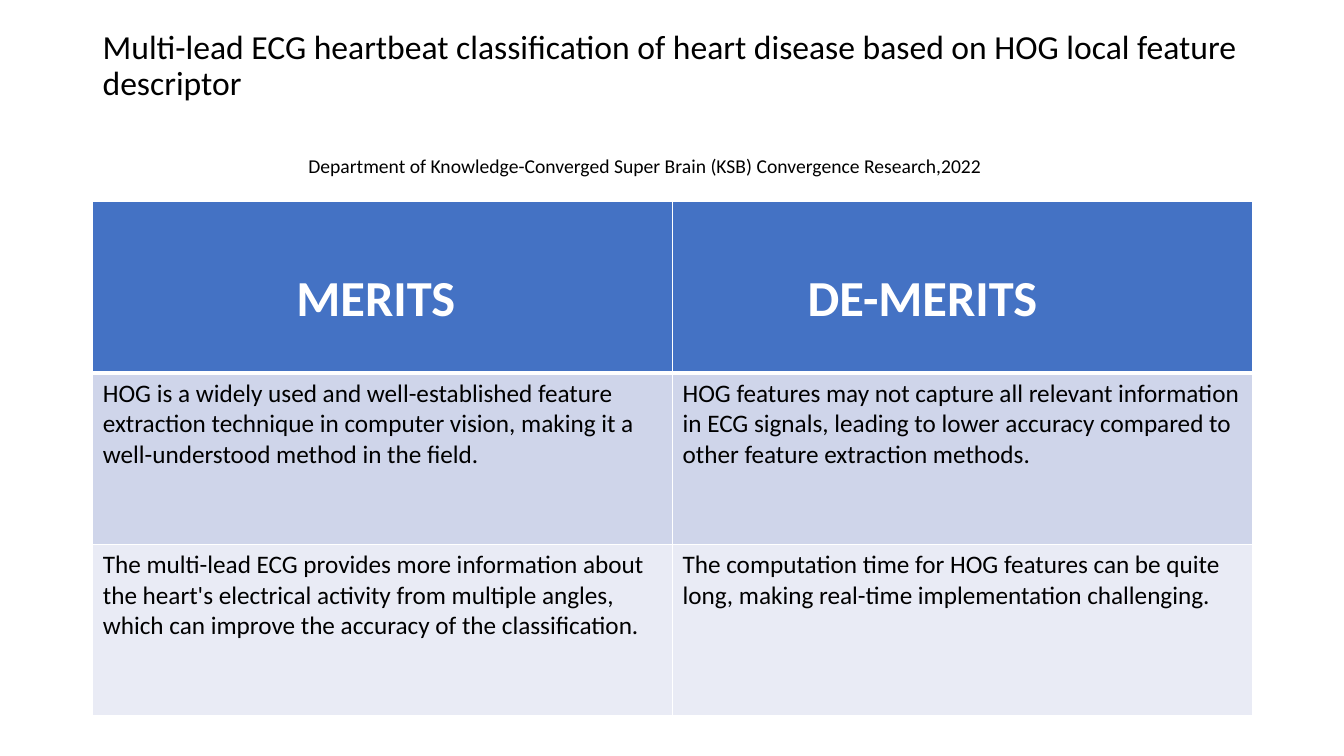
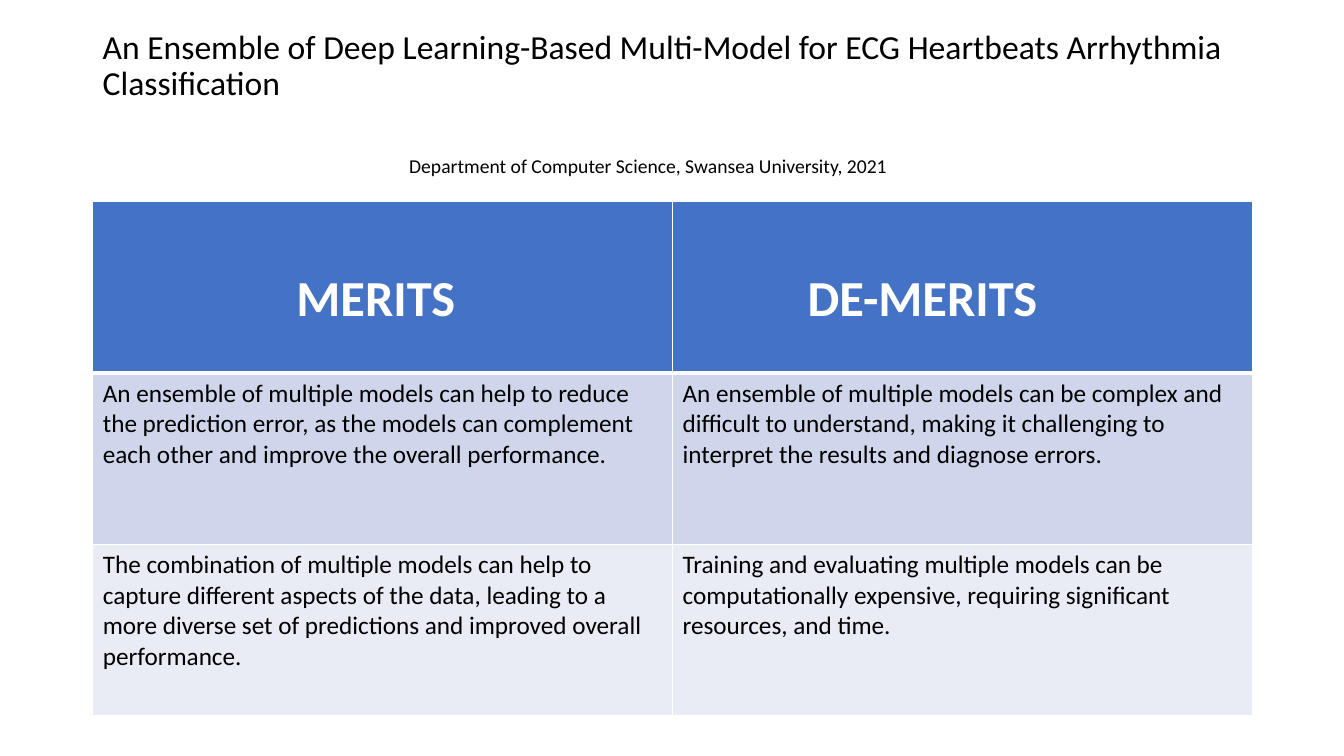
import dataclasses

import pptx
import pptx.dml.color
import pptx.oxml
import pptx.oxml.ns
import pptx.util

Inches = pptx.util.Inches
Pt = pptx.util.Pt


@dataclasses.dataclass(frozen=True)
class Theme:
    font: str = "Calibri"
    text: str = "000000"
    header_text: str = "FFFFFF"
    header_fill: str = "4472C4"
    row_fills: tuple = ("CFD5EA", "E9EBF5")
    border: str = "FFFFFF"
    title_size: int = 24
    source_size: int = 14
    header_size: int = 36
    body_size: int = 18
    thin: int = 1
    thick: int = 3
    left: float = 0.92
    width: float = 11.5


THEME = Theme()

# Header label and its left margin in inches
HEADERS = (("MERITS", 2.02), ("DE-MERITS", 1.34))

# Title, source line, left edge of the source line, body rows
PAPERS = (
    (
        "Multi-lead ECG heartbeat classification of heart disease based on HOG local feature descriptor",
        "Department of Knowledge-Converged Super Brain (KSB) Convergence Research,2022",
        2.96,
        (
            (
                "HOG is a widely used and well-established feature extraction technique in computer vision, "
                "making it a well-understood method in the field.",
                "HOG features may not capture all relevant information in ECG signals, "
                "leading to lower accuracy compared to other feature extraction methods.",
            ),
            (
                "The multi-lead ECG provides more information about the heart's electrical activity "
                "from multiple angles, which can improve the accuracy of the classification.",
                "The computation time for HOG features can be quite long, "
                "making real-time implementation challenging.",
            ),
        ),
    ),
    (
        "An Ensemble of Deep Learning-Based Multi-Model for ECG Heartbeats Arrhythmia Classification",
        "Department of Computer Science, Swansea University, 2021",
        3.96,
        (
            (
                "An ensemble of multiple models can help to reduce the prediction error, "
                "as the models can complement each other and improve the overall performance.",
                "An ensemble of multiple models can be complex and difficult to understand, "
                "making it challenging to interpret the results and diagnose errors.",
            ),
            (
                "The combination of multiple models can help to capture different aspects of the data, "
                "leading to a more diverse set of predictions and improved overall performance.",
                "Training and evaluating multiple models can be computationally expensive, "
                "requiring significant resources, and time.",
            ),
        ),
    ),
)


def rgb(value):
    return pptx.dml.color.RGBColor.from_string(value)


def set_text(tf, text, size, color, bold=False):
    tf.text = text
    p = tf.paragraphs[0]
    font = p.runs[0].font
    font.name = THEME.font
    font.size = Pt(size)
    font.bold = bold
    font.color.rgb = rgb(color)
    return p


def add_line_of_text(s, text, left, top, width, height, size):
    tb = s.shapes.add_textbox(Inches(left), Inches(top), Inches(width), Inches(height))
    tb.text_frame.word_wrap = True
    p = set_text(tb.text_frame, text, size, THEME.text)
    p.line_spacing = 0.9


def set_borders(cell, top, bottom):
    """Draw all four cell edges; call before filling, as the schema wants lines first."""
    tc_pr = cell._tc.get_or_add_tcPr()
    ns = pptx.oxml.ns.nsdecls("a")
    edges = (("lnL", THEME.thin), ("lnR", THEME.thin), ("lnT", top), ("lnB", bottom))
    for tag, width in edges:
        tc_pr.append(pptx.oxml.parse_xml(
            f'<a:{tag} {ns} w="{Pt(width)}"><a:solidFill>'
            f'<a:srgbClr val="{THEME.border}"/></a:solidFill></a:{tag}>'
        ))


def style_cell(cell, fill, top, bottom):
    set_borders(cell, top, bottom)
    cell.fill.solid()
    cell.fill.fore_color.rgb = rgb(fill)


def add_comparison(s, rows):
    frame = s.shapes.add_table(
        len(rows) + 1, len(HEADERS),
        Inches(THEME.left), Inches(2), Inches(THEME.width), Inches(5.1),
    )
    table = frame.table
    for col, (label, indent) in enumerate(HEADERS):
        cell = table.cell(0, col)
        style_cell(cell, THEME.header_fill, THEME.thin, THEME.thick)
        cell.margin_left = Inches(indent)
        cell.margin_top = Inches(0.66)
        set_text(cell.text_frame, label, THEME.header_size, THEME.header_text, bold=True)
    for row, texts in enumerate(rows, start=1):
        fill = THEME.row_fills[(row - 1) % len(THEME.row_fills)]
        top = THEME.thick if row == 1 else THEME.thin
        for col, text in enumerate(texts):
            cell = table.cell(row, col)
            style_cell(cell, fill, top, THEME.thin)
            set_text(cell.text_frame, text, THEME.body_size, THEME.text)


def add_paper_slide(prs, title, source, source_left, rows):
    s = prs.slides.add_slide(prs.slide_layouts[6])
    add_line_of_text(s, title, THEME.left, 0.25, THEME.width, 0.85, THEME.title_size)
    source_width = THEME.left + THEME.width - source_left
    add_line_of_text(s, source, source_left, 1.5, source_width, 0.35, THEME.source_size)
    add_comparison(s, rows)


def main():
    prs = pptx.Presentation()
    prs.slide_width = Inches(13.33)
    prs.slide_height = Inches(7.5)
    for paper in PAPERS:
        add_paper_slide(prs, *paper)
    prs.save("out.pptx")


if __name__ == "__main__":
    main()
